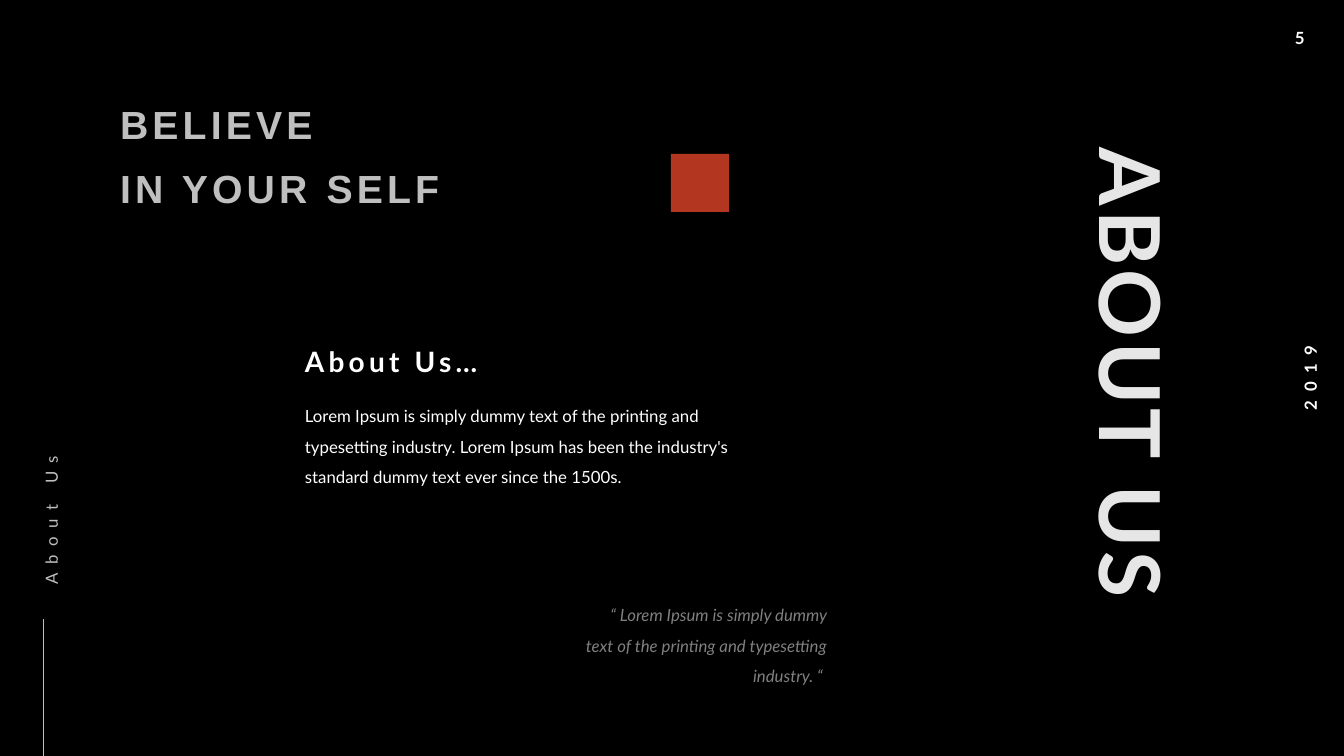
"""Build the dark "About Us" slide."""
from pptx import Presentation
from pptx import util as u
from pptx.dml.color import RGBColor
from pptx.enum import shapes, text
from pptx.oxml.ns import qn
from lxml import etree

PX = 914400 / 100.8
HUES = {"black": "000000", "white": "FFFFFF", "pale": "E6E6E6",
        "silver": "BFBFBF", "gray": "808080", "red": "B33720"}
LEFT, MID, RIGHT = text.PP_ALIGN.LEFT, text.PP_ALIGN.CENTER, text.PP_ALIGN.RIGHT


def px(*vals):
    return [u.Emu(round(v * PX)) for v in vals]


def hue(name):
    return RGBColor.from_string(HUES[name])


def place(shape, box, turn=0):
    shape.left, shape.top, shape.width, shape.height = px(*box)
    shape.rotation = turn


def write(shape, lines, size, color="white", face="Lato", bold=False, slant=False,
          track=0, align=LEFT, lead=1.0, gap=12, pad=(0, 0, 10, 0), wrap=True):
    frame = shape.text_frame
    frame.word_wrap = wrap
    frame.auto_size = text.MSO_AUTO_SIZE.SHAPE_TO_FIT_TEXT
    frame.vertical_anchor = text.MSO_ANCHOR.TOP
    (frame.margin_left, frame.margin_top,
     frame.margin_right, frame.margin_bottom) = px(*pad)
    frame.text = "\n".join(lines)
    for para in frame.paragraphs:
        para.alignment, para.line_spacing = align, lead
        para.space_before = u.Pt(gap)
        font = para.font
        font.name, font.size = face, u.Pt(size)
        font.bold, font.italic = bold, slant
        font.color.rgb = hue(color)
        para._p.pPr.find(qn("a:defRPr")).set("spc", str(track * 100))


def label(slide, box, lines, size, turn=0, **style):
    shape = slide.shapes.add_textbox(0, 0, 0, 0)
    place(shape, box, turn)
    write(shape, lines, size, **style)


def block(slide, box, color):
    shape = slide.shapes.add_shape(shapes.MSO_SHAPE.RECTANGLE, *px(*box))
    shape.shadow.inherit = False
    shape.fill.solid()
    shape.fill.fore_color.rgb = hue(color)
    shape.line.fill.background()


def rule(slide, ends, color, width):
    line = slide.shapes.add_connector(shapes.MSO_CONNECTOR.STRAIGHT, *px(*ends))
    line.line.color.rgb = hue(color)
    line.line.width = u.Pt(width)
    etree.SubElement(line._element.spPr, qn("a:effectLst"))


def main():
    deck = Presentation()
    deck.slide_width, deck.slide_height = px(1344, 756)
    slide = deck.slides.add_slide(deck.slide_layouts[5])
    slide.background.fill.solid()
    slide.background.fill.fore_color.rgb = hue("black")

    title = slide.shapes.title
    place(title, (120, 100, 371, 112))
    write(title, ["BELIEVE", "IN YOUR SELF"], 28, color="silver", face="Arial",
          bold=True, track=3)

    label(slide, (305, 344, 262, 34), ["About Us…"], 20, bold=True, track=3)
    label(slide, (305, 396, 482, 88),
          ["Lorem Ipsum is simply dummy text of the printing and typesetting industry. "
           "Lorem Ipsum has been the industry's standard dummy text ever since the 1500s."],
          12, lead=1.5)
    label(slide, (761, 327, 743, 102), ["ABOUT US"], 60, turn=90, color="pale",
          bold=True, track=3, align=MID)
    label(slide, (579, 595, 258, 88),
          ["“ Lorem Ipsum is simply dummy text of the printing and typesetting industry. “ "],
          12, color="gray", slant=True, align=RIGHT, lead=1.5)
    block(slide, (671, 154, 58, 58), "red")

    rule(slide, (43, 756, 43, 619), "silver", 0.5)
    label(slide, (-49, 478, 186, 26), ["About Us"], 12, turn=270, color="silver",
          track=6, lead=1.5)

    edge = {"bold": True, "gap": 0, "pad": (10, 5, 10, 5), "wrap": False}
    label(slide, (1285, 23, 30, 30), ["5"], 12, **edge)
    label(slide, (1263, 363, 94, 30), ["2019"], 12, turn=270, track=6, align=MID,
          **edge)
    deck.save("out.pptx")


if __name__ == "__main__":
    main()
